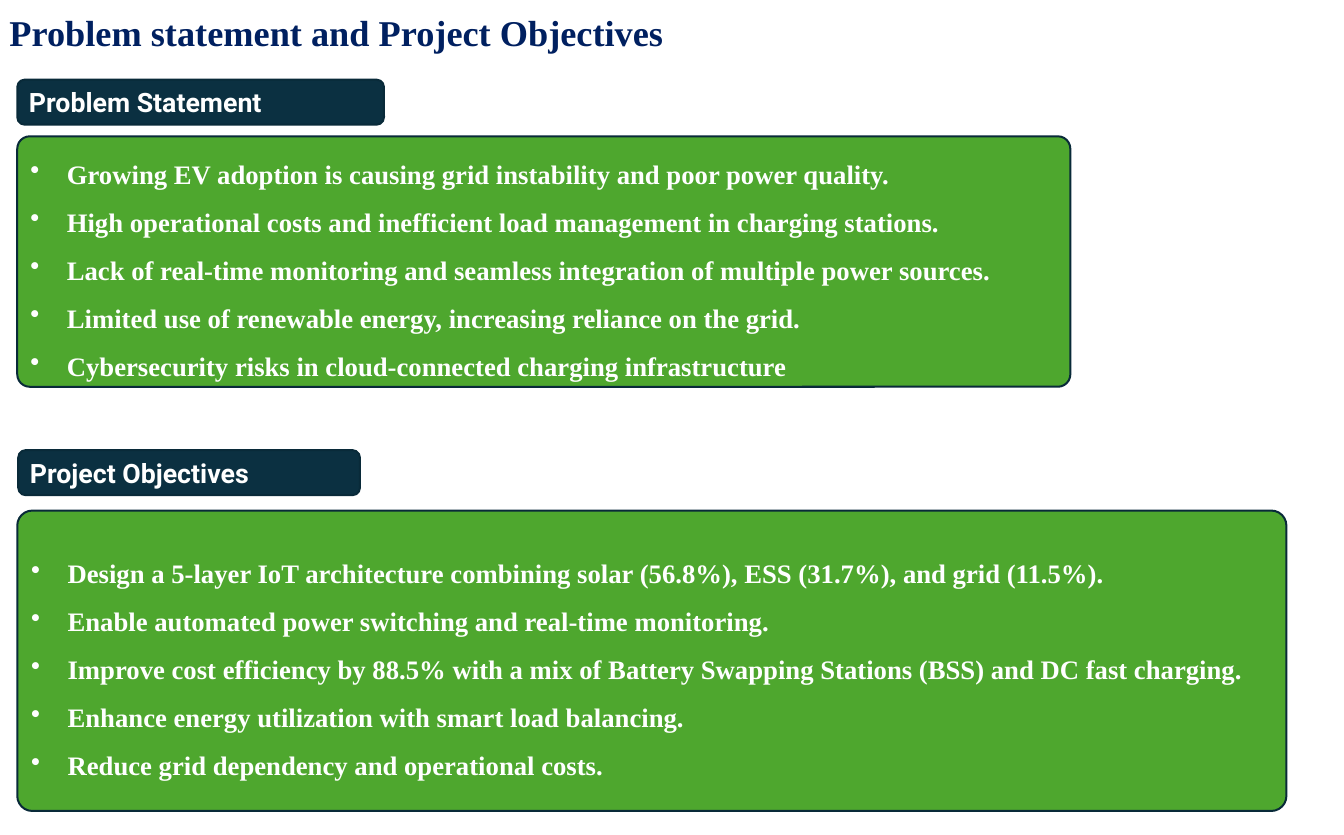
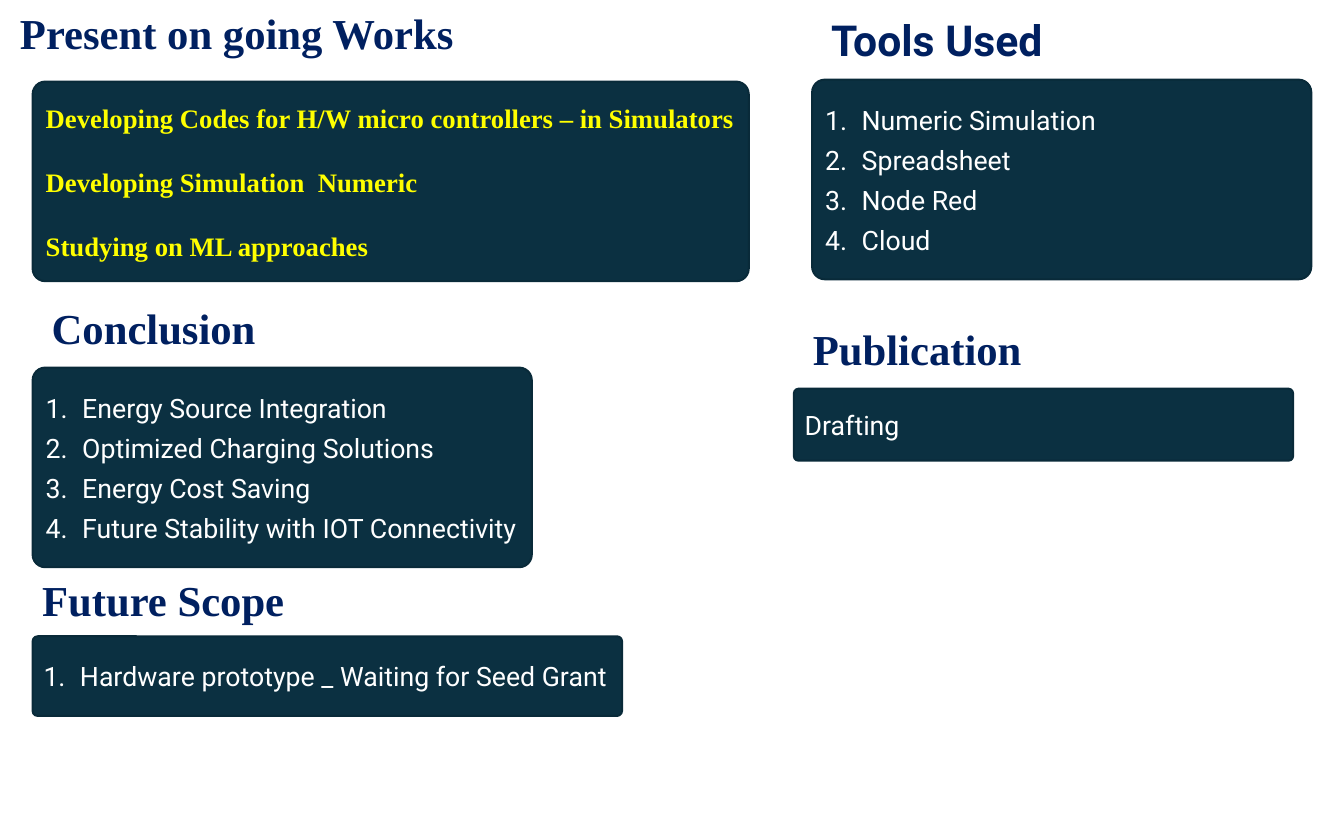
from dataclasses import dataclass

from lxml.etree import SubElement
from pptx import Presentation
from pptx.dml.color import RGBColor
from pptx.enum.shapes import MSO_SHAPE as Preset
from pptx.enum.text import MSO_ANCHOR as Anchor, PP_ALIGN as Align
from pptx.oxml.ns import qn
from pptx.slide import Slide
from pptx.text.text import TextFrame
from pptx.util import Inches, Pt

NAVY = RGBColor(0x00, 0x20, 0x60)
DARK_TEAL = RGBColor(0x0B, 0x30, 0x41)
OUTLINE = RGBColor(0x09, 0x2A, 0x39)
GREEN = RGBColor(0x4E, 0xA7, 0x2E)
WHITE = RGBColor(0xFF, 0xFF, 0xFF)
YELLOW = RGBColor(0xFF, 0xFF, 0x00)

SERIF = "Times New Roman"
SANS = "Roboto"
LIST_INDENT = Inches(0.38)
BULLET = ("a:buChar", {"char": "•"})
NUMBER = ("a:buAutoNum", {"type": "arabicPeriod"})


@dataclass(frozen=True)
class TextStyle:
    font: str
    size: float
    color: RGBColor
    bold: bool = False
    line_spacing: float = 1.0
    space_after: float = 0
    marker: tuple[str, dict[str, str]] | None = None


@dataclass(frozen=True)
class Heading:
    text: str
    left: float
    top: float
    width: float
    style: TextStyle


@dataclass(frozen=True)
class Panel:
    lines: tuple[str, ...]
    left: float
    top: float
    width: float
    height: float
    style: TextStyle
    fill: RGBColor = DARK_TEAL
    corner: float = 0.063
    bottom_inset: float = 0.05


TITLE = TextStyle(SERIF, 27.2, NAVY, bold=True, line_spacing=0.8)
SECTION = TextStyle(SERIF, 32, NAVY, bold=True, line_spacing=0.9)
SANS_SECTION = TextStyle(SANS, 32, NAVY, bold=True, line_spacing=0.9)
LABEL = TextStyle(SANS, 20, WHITE, bold=True)
BULLETS = TextStyle(SERIF, 20, WHITE, bold=True, line_spacing=1.5, marker=BULLET)
WORKS = TextStyle(SERIF, 20, YELLOW, bold=True, line_spacing=2.0)
NUMBERED = TextStyle(SANS, 20, WHITE, space_after=6, marker=NUMBER)
PLAIN = TextStyle(SANS, 20, WHITE, space_after=6)

OBJECTIVE_HEADINGS = (
    Heading("Problem statement and Project Objectives", 0, 0, 7.18, TITLE),
)
OBJECTIVE_PANELS = (
    Panel(("Problem Statement",), 0.18, 0.83, 3.82, 0.47, LABEL, corner=0.167),
    Panel(
        (
            "Growing EV adoption is causing grid instability and poor power quality.",
            "High operational costs and inefficient load management in charging stations.",
            "Lack of real-time monitoring and seamless integration of multiple power sources.",
            "Limited use of renewable energy, increasing reliance on the grid.",
            "Cybersecurity risks in cloud-connected charging infrastructure",
        ),
        0.18, 1.42, 10.97, 2.61, BULLETS, GREEN, 0.05,
    ),
    Panel(("Project Objectives",), 0.19, 4.69, 3.56, 0.47, LABEL, corner=0.167),
    Panel(
        (
            "Design a 5-layer IoT architecture combining solar (56.8%), ESS (31.7%), and grid (11.5%).",
            "Enable automated power switching and real-time monitoring.",
            "Improve cost efficiency by 88.5% with a mix of Battery Swapping Stations (BSS) and DC fast charging.",
            "Enhance energy utilization with smart load balancing.",
            "Reduce grid dependency and operational costs.",
        ),
        0.18, 5.32, 13.22, 3.13, BULLETS, GREEN, 0.05,
    ),
)

STATUS_HEADINGS = (
    Heading("Present on going Works", 0.11, 0, 7.18, SECTION),
    Heading("Conclusion", 0.44, 3.07, 5, SECTION),
    Heading("Future Scope", 0.34, 5.9, 5, SECTION),
    Heading("Tools Used", 8.56, 0.07, 5, SANS_SECTION),
    Heading("Publication", 8.37, 3.29, 5, SECTION),
)
STATUS_PANELS = (
    Panel(
        (
            "Developing Codes for H/W micro controllers – in Simulators",
            "Developing Simulation  Numeric",
            "Studying on ML approaches",
        ),
        0.34, 0.85, 7.46, 2.08, WORKS, bottom_inset=0.37,
    ),
    Panel(
        (
            "Energy Source Integration",
            "Optimized Charging Solutions",
            "Energy Cost Saving",
            "Future Stability with IOT Connectivity",
        ),
        0.34, 3.83, 5.2, 2.08, NUMBERED,
    ),
    Panel(("Hardware prototype _ Waiting for Seed Grant",), 0.34, 6.63, 6.14, 0.83, NUMBERED),
    Panel(
        ("Numeric Simulation", "Spreadsheet", "Node Red", "Cloud"),
        8.46, 0.83, 5.2, 2.08, NUMBERED,
    ),
    Panel(("Drafting",), 8.27, 4.05, 5.2, 0.75, PLAIN),
)


def write_lines(text_frame: TextFrame, lines: tuple[str, ...], style: TextStyle) -> None:
    text_frame.word_wrap = True
    text_frame.vertical_anchor = Anchor.MIDDLE
    text_frame.text = "\n".join(lines)
    for paragraph in text_frame.paragraphs:
        paragraph.alignment = Align.LEFT
        paragraph.line_spacing = style.line_spacing
        paragraph.space_after = Pt(style.space_after)
        if style.marker:
            tag, attributes = style.marker
            properties = paragraph._p.get_or_add_pPr()
            properties.set("marL", str(LIST_INDENT))
            properties.set("indent", str(-LIST_INDENT))
            SubElement(properties, qn(tag), attributes)
        for run in paragraph.runs:
            run.font.name = style.font
            run.font.size = Pt(style.size)
            run.font.bold = style.bold
            run.font.color.rgb = style.color


def add_heading(slide: Slide, heading: Heading) -> None:
    box = slide.shapes.add_textbox(
        Inches(heading.left), Inches(heading.top), Inches(heading.width), Inches(0.75)
    )
    write_lines(box.text_frame, (heading.text,), heading.style)


def add_panel(slide: Slide, panel: Panel) -> None:
    shape = slide.shapes.add_shape(
        Preset.ROUNDED_RECTANGLE,
        Inches(panel.left), Inches(panel.top), Inches(panel.width), Inches(panel.height),
    )
    shape.adjustments[0] = panel.corner
    shape.shadow.inherit = False
    shape.fill.solid()
    shape.fill.fore_color.rgb = panel.fill
    shape.line.color.rgb = OUTLINE
    shape.line.width = Pt(1.5)
    shape.text_frame.margin_bottom = Inches(panel.bottom_inset)
    write_lines(shape.text_frame, panel.lines, panel.style)


def main() -> None:
    presentation = Presentation()
    presentation.slide_width = Inches(14)
    presentation.slide_height = Inches(8.7)
    for headings, panels in (
        (OBJECTIVE_HEADINGS, OBJECTIVE_PANELS),
        (STATUS_HEADINGS, STATUS_PANELS),
    ):
        slide = presentation.slides.add_slide(presentation.slide_layouts[6])
        for panel in panels:
            add_panel(slide, panel)
        for heading in headings:
            add_heading(slide, heading)
    presentation.save("out.pptx")


if __name__ == "__main__":
    main()
